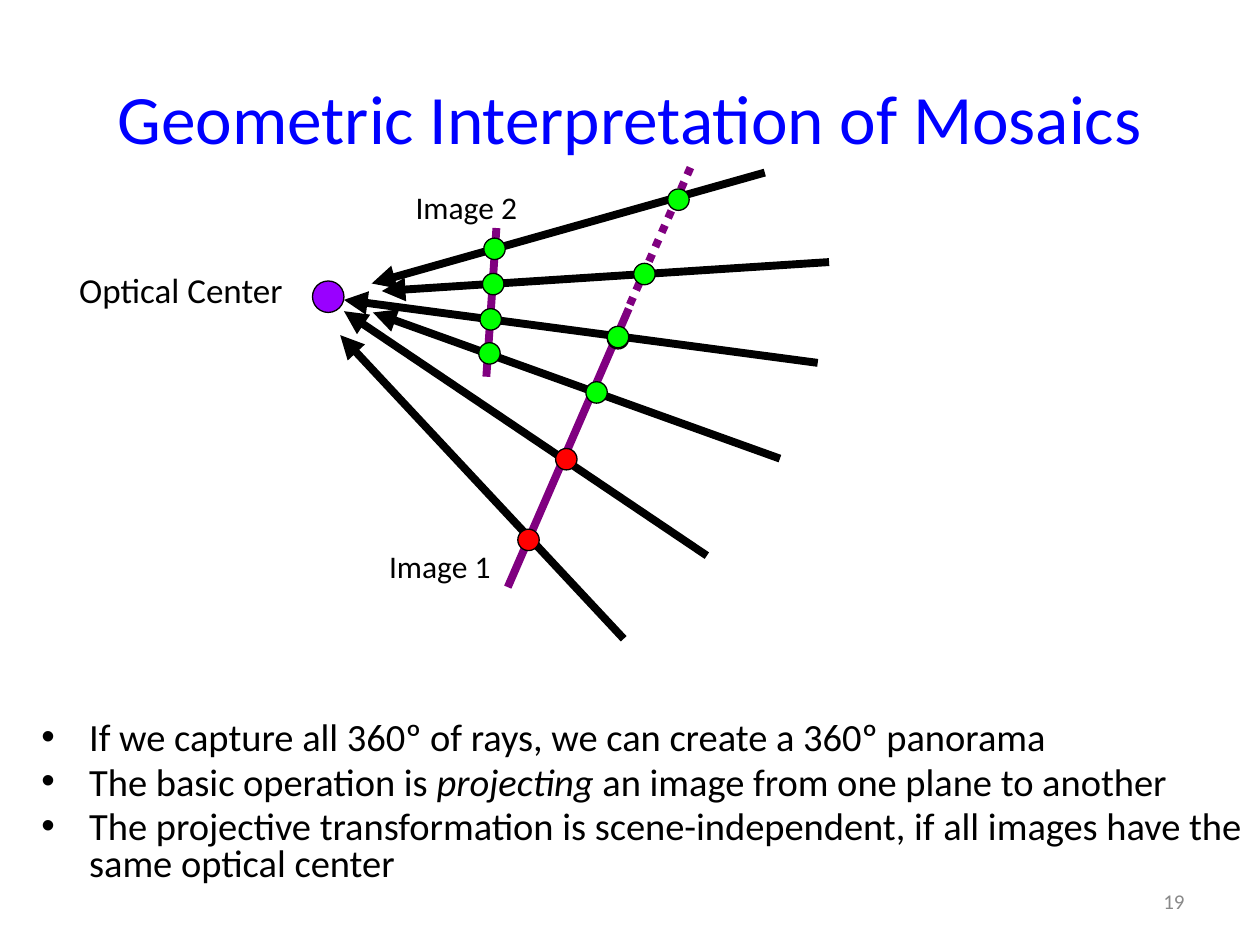
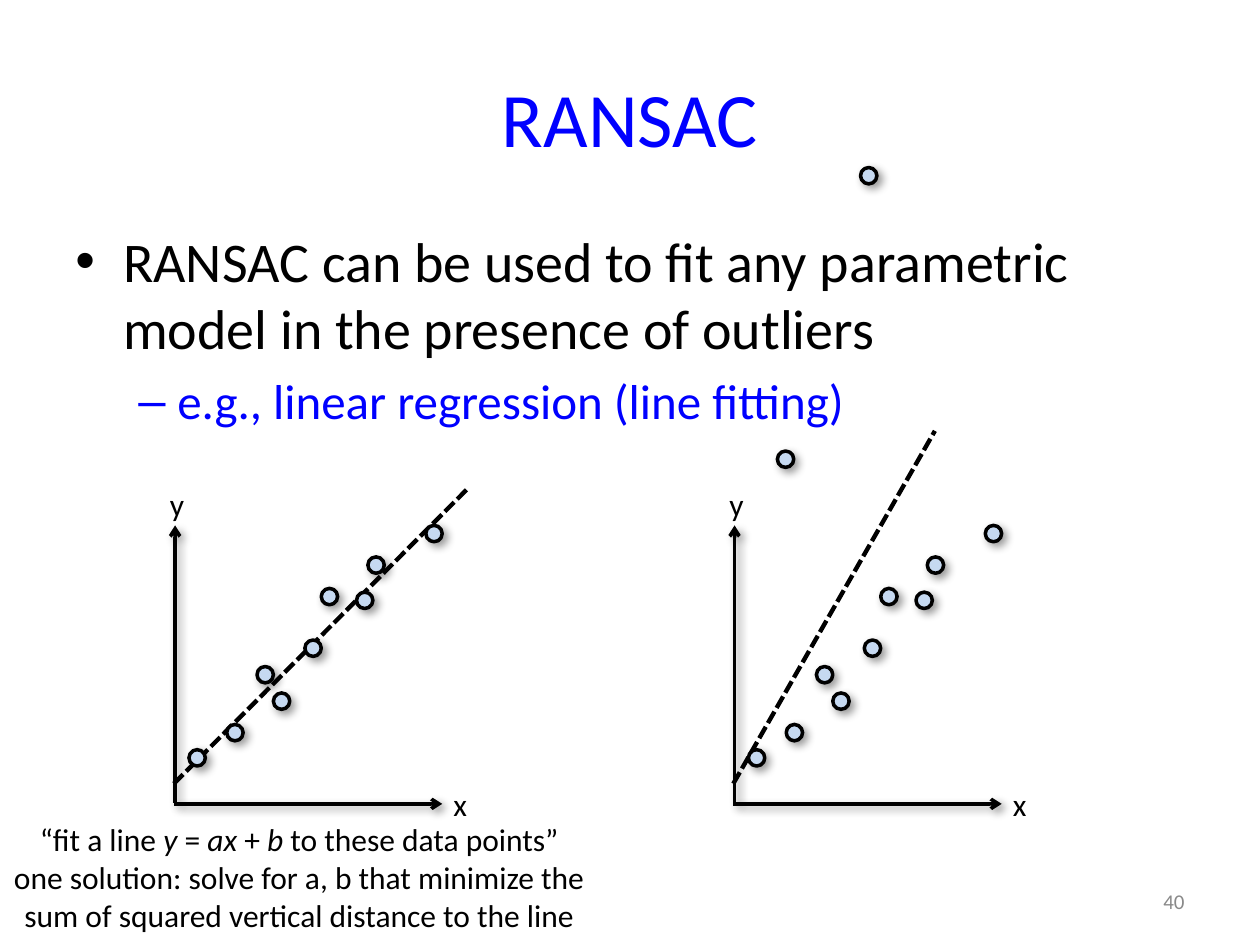
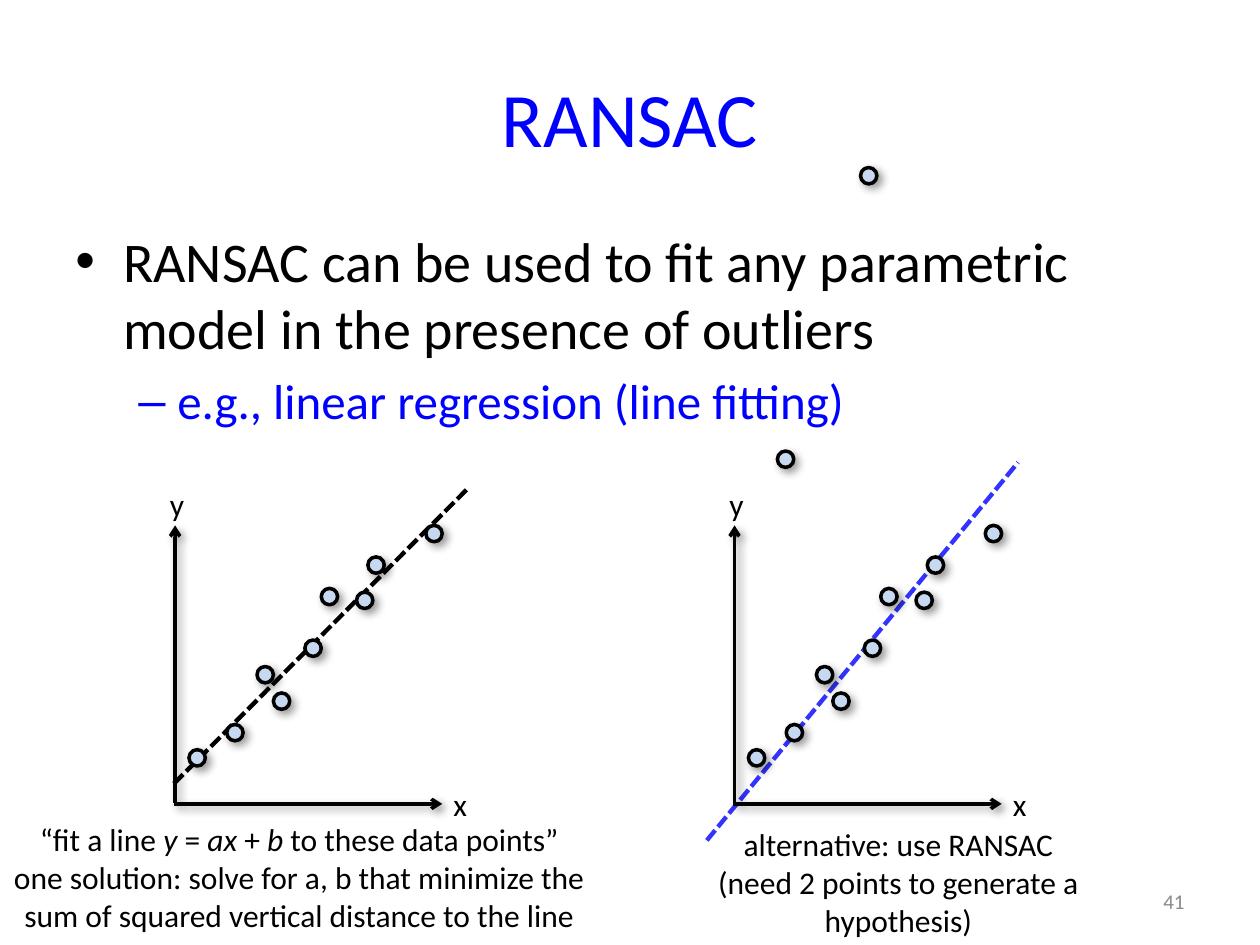
from dataclasses import dataclass

from lxml.etree import SubElement
from pptx import Presentation
from pptx.dml.color import RGBColor
from pptx.enum.dml import MSO_LINE_DASH_STYLE as Dash
from pptx.enum.shapes import MSO_CONNECTOR, MSO_SHAPE
from pptx.enum.text import MSO_ANCHOR as Anchor, MSO_AUTO_SIZE as AutoSize, PP_ALIGN as Align
from pptx.oxml.ns import qn
from pptx.util import Inches, Pt


@dataclass(frozen=True)
class Theme:
    """Colours, font and type sizes shared by the slides."""
    font: str = "Calibri"
    black: str = "000000"
    blue: str = "0000FF"
    hypothesis: str = "3333FF"
    gray: str = "898989"
    purple: str = "800080"
    violet: str = "9900FF"
    green: str = "00FF00"
    red: str = "FF0000"
    pale: str = "C6D9F1"
    title: float = 44
    long_title: float = 39.6
    bullet: float = 32
    sub_bullet: float = 28
    small_bullet: float = 22
    center_label: float = 20
    label: float = 18
    number: float = 12


@dataclass(frozen=True)
class Box:
    """A region in inches that can locate parts inside itself."""
    left: float
    top: float
    width: float
    height: float

    def inner(self, left, top, width=0, height=0):
        """Return a box placed relative to this one."""
        return Box(self.left + left, self.top + top, width, height)

    def lengths(self):
        """Return left, top, width and height as lengths."""
        return [Inches(value) for value in (self.left, self.top, self.width, self.height)]


THEME = Theme()
TITLE_BOX = Box(0.5, 0.3, 9, 1.25)
NUMBER_BOX = Box(7.17, 6.95, 2.33, 0.4)
DIAGRAM_BOX = Box(0.5, 1.3, 6.1, 3.8)
POINTS_BOX = Box(0.23, 5.68, 9.73, 1.88)
BODY_BOX = Box(0.5, 1.75, 9, 1.93)
LEFT_PLOT = Box(1.25, 3.8, 2.56, 2.78)
RIGHT_PLOT = Box(5.69, 3.8, 2.56, 2.78)

RAYS = [
    ((2.45, 0.95), (5.57, 0.07)),
    ((2.2, 1.36), (4.45, 3.77)),
    ((2.23, 1.08), (5.99, 1.58)),
    ((2.46, 1.18), (5.69, 2.34)),
    ((2.53, 1.01), (6.08, 0.78)),
    ((2.23, 1.17), (5.11, 3.11)),
]
INLIERS = [(0.79, 1.49), (1.17, 1.28), (1.3, 0.87), (1.67, 0.62), (2.13, 0.37),
           (0.55, 1.95), (0.25, 2.15), (0.92, 1.7), (1.58, 0.9)]
OUTLIERS = [(0.48, -0.22), (1.14, -2.47)]
REGRESSION_LINE = ((0.13, 2.42), (2.46, 0.08))
SKEWED_LINE = ((0.13, 2.42), (1.73, -0.38))
RANSAC_LINE = ((-0.08, 2.87), (2.39, -0.13))
LEFT_CAPTION = ["“fit a line *y* = *ax* + *b* to these data points”",
                "one solution: solve for a, b that minimize the "
                "sum of squared vertical distance to the line"]
RIGHT_CAPTION = ["alternative: use RANSAC", "(need 2 points to generate a hypothesis)"]


def write_paragraph(paragraph, text, size, color=THEME.black, align=Align.LEFT,
                    bullet=None, margin=0, hanging=0, spacing=None):
    """Write text into a paragraph, with italics between asterisks."""
    paragraph.alignment = align
    if spacing:
        paragraph.line_spacing = spacing
    if bullet:
        paragraph.space_before = Pt(size * 0.2)
        properties = paragraph._p.get_or_add_pPr()
        properties.set("marL", str(Inches(margin)))
        properties.set("indent", str(-Inches(hanging)))
        SubElement(properties, qn("a:buFont"), typeface="Arial")
        SubElement(properties, qn("a:buChar"), char=bullet)
    for index, part in enumerate(text.split("*")):
        run = paragraph.add_run()
        run.text = part
        run.font.name = THEME.font
        run.font.size = Pt(size)
        run.font.italic = index % 2 == 1
        run.font.color.rgb = RGBColor.from_string(color)


def add_text(slide, box, items, wrap=True, grow=False, anchor=Anchor.TOP, **common):
    """Add a text box whose items are texts or (text, format) pairs."""
    frame = slide.shapes.add_textbox(*box.lengths()).text_frame
    frame.word_wrap = wrap
    frame.auto_size = AutoSize.SHAPE_TO_FIT_TEXT if grow else AutoSize.NONE
    frame.vertical_anchor = anchor
    for index, item in enumerate(items):
        text, extra = (item, {}) if isinstance(item, str) else item
        paragraph = frame.add_paragraph() if index else frame.paragraphs[0]
        write_paragraph(paragraph, text, **{**common, **extra})


def add_label(slide, box, text, size=THEME.label):
    """Add a short label that stays on one line."""
    add_text(slide, box, [text], wrap=False, grow=True, size=size)


def set_shadow(shape, visible):
    """Replace the theme shadow with a soft one or with none."""
    effects = SubElement(shape._element.spPr, qn("a:effectLst"))
    if visible:
        shadow = SubElement(effects, qn("a:outerShdw"), blurRad=str(Pt(5)), dist=str(Pt(3)),
                            dir=str(45 * 60000), algn="tl", rotWithShape="0")
        color = SubElement(shadow, qn("a:srgbClr"), val=THEME.black)
        SubElement(color, qn("a:alpha"), val="40000")


def add_line(slide, box, ends, width, color=THEME.black, dash=None, head=None, tail=None,
             shadow=False):
    """Connect two points of the box with an optional arrowhead at each end."""
    start, end = (box.inner(*point) for point in ends)
    line = slide.shapes.add_connector(MSO_CONNECTOR.STRAIGHT, *start.lengths()[:2],
                                      *end.lengths()[:2])
    line.line.width = Pt(width)
    line.line.color.rgb = RGBColor.from_string(color)
    if dash:
        line.line.dash_style = dash
    outline = line._element.spPr.find(qn("a:ln"))
    for tag, kind in (("a:headEnd", head), ("a:tailEnd", tail)):
        if kind:
            SubElement(outline, qn(tag), type=kind)
    set_shadow(line, shadow)


def add_dots(slide, box, corners, diameter, fill, width=0.75, shadow=False):
    """Add equal outlined dots at the given corners of the box."""
    for corner in corners:
        dot = slide.shapes.add_shape(
            MSO_SHAPE.OVAL, *box.inner(*corner, diameter, diameter).lengths())
        dot.fill.solid()
        dot.fill.fore_color.rgb = RGBColor.from_string(fill)
        dot.line.color.rgb = RGBColor.from_string(THEME.black)
        dot.line.width = Pt(width)
        set_shadow(dot, shadow)


def add_titled_slide(presentation, title, number, size=THEME.title):
    """Add a slide with its title and slide number."""
    slide = presentation.slides.add_slide(presentation.slide_layouts[5])
    placeholder = slide.shapes.title
    placeholder.left, placeholder.top, placeholder.width, placeholder.height = TITLE_BOX.lengths()
    frame = placeholder.text_frame
    frame.auto_size = AutoSize.NONE
    frame.vertical_anchor = Anchor.MIDDLE
    write_paragraph(frame.paragraphs[0], title, size, THEME.blue, Align.CENTER)
    add_text(slide, NUMBER_BOX, [str(number)], anchor=Anchor.MIDDLE, size=THEME.number,
             color=THEME.gray, align=Align.RIGHT)
    return slide


def add_ray_diagram(slide, box):
    """Draw rays that meet two image planes on their way to the optical center."""
    for ray in RAYS:
        add_line(slide, box, ray, 4.5, head="triangle")
    add_dots(slide, box, [(1.98, 0.93)], 0.25, THEME.violet)
    add_label(slide, box.inner(2.49, 2.99, 1.1, 0.4), "Image 1")
    add_label(slide, box.inner(2.7, 0.14, 1.1, 0.4), "Image 2")
    add_label(slide, box.inner(0.03, 0.78, 1.98, 0.43), "Optical Center", THEME.center_label)
    planes = [
        (((3.44, 0.51), (3.36, 1.69)), None,
         {THEME.green: [(3.34, 0.59), (3.31, 1.15), (3.3, 1.42), (3.33, 0.87)]}),
        (((4.49, 1.15), (3.53, 3.36)), None,
         {THEME.red: [(4.32, 1.3), (3.91, 2.26), (3.61, 2.9)],
          THEME.green: [(4.15, 1.73), (4.32, 1.29)]}),
        (((4.98, 0.03), (4.48, 1.16)), Dash.ROUND_DOT,
         {THEME.green: [(4.8, 0.2), (4.53, 0.79)]}),
    ]
    for ends, dash, dots in planes:
        add_line(slide, box, ends, 4.5, THEME.purple, dash)
        for color, corners in dots.items():
            add_dots(slide, box, corners, 0.17, color)


def add_scatter_plot(slide, box, points, fit_line, fit_color=THEME.black):
    """Draw x and y axes, data points and a dashed fitted line."""
    add_line(slide, box, fit_line, 2.5, fit_color, Dash.SQUARE_DOT)
    for axis in (((0.14, 2.57), (0.14, 0.37)), ((0.13, 2.58), (2.26, 2.58))):
        add_line(slide, box, axis, 2, tail="arrow", shadow=True)
    add_label(slide, box.inner(2.25, 2.38, 0.31, 0.4), "x")
    add_label(slide, box.inner(0, 0, 0.32, 0.4), "y")
    add_dots(slide, box, points, 0.13, THEME.pale, width=2, shadow=True)


def add_caption(slide, box, lines):
    """Add a centred caption under a plot."""
    add_text(slide, box, lines, grow=True, size=THEME.label, align=Align.CENTER)


def build_mosaic_slide(presentation):
    """Build the slide on the geometry of mosaics."""
    slide = add_titled_slide(presentation, "Geometric Interpretation of Mosaics", 19,
                             THEME.long_title)
    add_text(slide, POINTS_BOX, [
        "If we capture all 360º of rays, we can create a 360º panorama",
        "The basic operation is *projecting* an image from one plane to another",
        "The projective transformation is scene-independent, if all images have the "
        "same optical center",
    ], size=THEME.small_bullet, bullet="•", margin=0.38, hanging=0.38, spacing=0.8)
    add_ray_diagram(slide, DIAGRAM_BOX)


def build_ransac_slide(presentation, number, fit_line, fit_color=THEME.black, caption=None):
    """Build a slide that compares a clean fit with one that has outliers."""
    slide = add_titled_slide(presentation, "RANSAC", number)
    add_text(slide, BODY_BOX, [
        ("RANSAC can be used to fit any parametric model in the presence of outliers",
         dict(size=THEME.bullet, bullet="•", margin=0.38, hanging=0.38)),
        ("e.g., linear regression (line fitting)",
         dict(size=THEME.sub_bullet, color=THEME.blue, bullet="–", margin=0.81, hanging=0.31)),
    ])
    add_scatter_plot(slide, LEFT_PLOT, INLIERS, REGRESSION_LINE)
    add_scatter_plot(slide, RIGHT_PLOT, INLIERS + OUTLIERS, fit_line, fit_color)
    add_caption(slide, LEFT_PLOT.inner(-1.25, 2.66, 4.75, 1.01), LEFT_CAPTION)
    if caption:
        add_caption(slide, RIGHT_PLOT.inner(-0.52, 2.7, 3.92, 1.01), caption)


def main():
    """Build and save the presentation."""
    presentation = Presentation()
    presentation.slide_width = Inches(10)
    presentation.slide_height = Inches(7.5)
    build_mosaic_slide(presentation)
    build_ransac_slide(presentation, 40, SKEWED_LINE)
    build_ransac_slide(presentation, 41, RANSAC_LINE, THEME.hypothesis, RIGHT_CAPTION)
    presentation.save("out.pptx")


if __name__ == "__main__":
    main()
